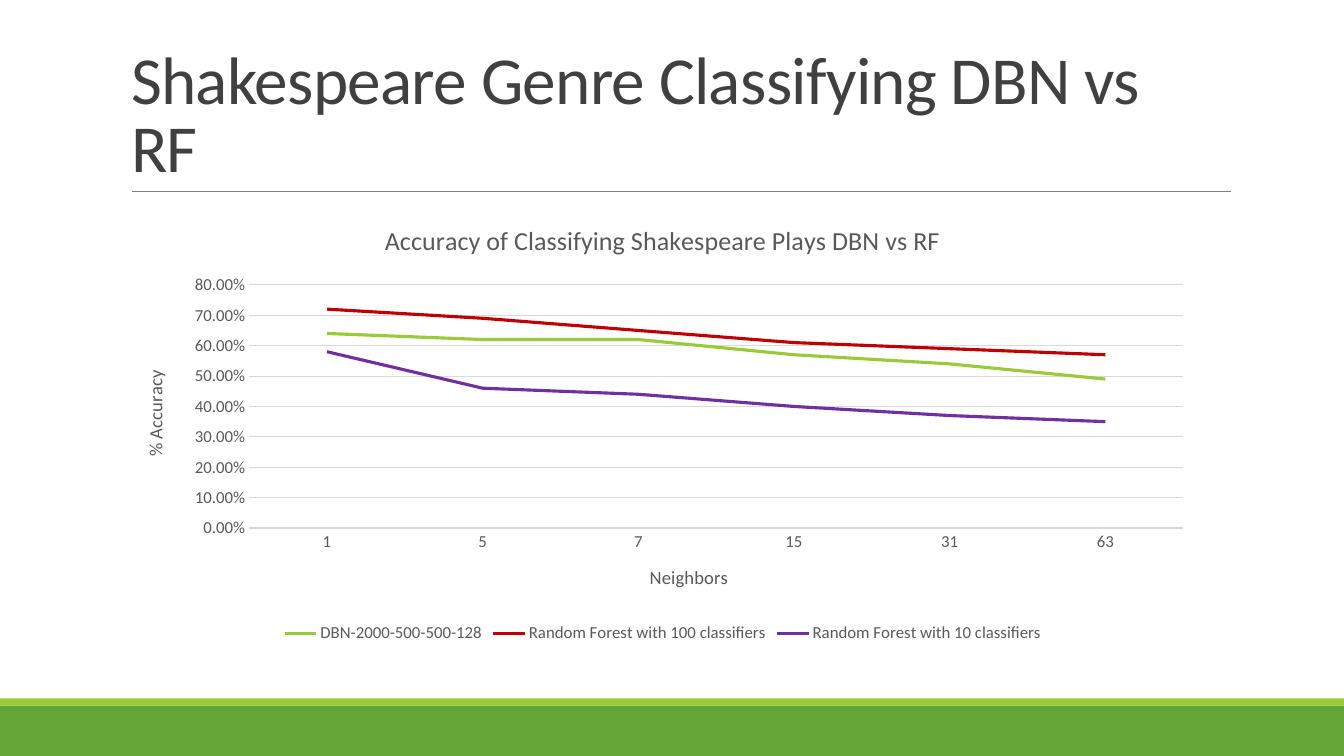
from typing import NamedTuple

import lxml.etree
import pptx
import pptx.chart.data
import pptx.dml.color
import pptx.enum.chart
import pptx.enum.shapes
import pptx.enum.text
import pptx.oxml.ns
import pptx.util
from pptx.util import Inches

FONT = "Calibri"
CHART_TEXT = "595959"
CHART_LINE = "D9D9D9"


class Band(NamedTuple):
    top: float
    height: float
    color: str


class Series(NamedTuple):
    name: str
    accuracies: tuple[float, ...]
    color: str


BANDS = [Band(7, 0.5, "63A537"), Band(6.93, 0.07, "99CB38")]
NEIGHBORS = ["1", "5", "7", "15", "31", "63"]
SERIES = [
    Series("DBN-2000-500-500-128",
           (0.64, 0.62, 0.62, 0.57, 0.54, 0.49), "99CB38"),
    Series("Random Forest with 100 classifiers",
           (0.72, 0.69, 0.65, 0.61, 0.59, 0.57), "C00000"),
    Series("Random Forest with 10 classifiers",
           (0.58, 0.46, 0.44, 0.40, 0.37, 0.35), "7030A0"),
]


def rgb(color: str) -> pptx.dml.color.RGBColor:
    return pptx.dml.color.RGBColor.from_string(color)


def set_font(font, size: float, color: str) -> None:
    font.name = FONT
    font.size = pptx.util.Pt(size)
    font.bold = False
    font.color.rgb = rgb(color)


def set_line(line, color: str, width: float) -> None:
    line.color.rgb = rgb(color)
    line.width = pptx.util.Pt(width)


def add_band(slide, band: Band, width: int) -> None:
    shape = slide.shapes.add_shape(
        pptx.enum.shapes.MSO_SHAPE.RECTANGLE,
        0, Inches(band.top), width, Inches(band.height))
    shape.shadow.inherit = False
    shape.fill.solid()
    shape.fill.fore_color.rgb = rgb(band.color)
    shape.line.fill.background()


def add_rule(slide) -> None:
    """Draw the thin line under the title."""
    connector = slide.shapes.add_connector(
        pptx.enum.shapes.MSO_CONNECTOR.STRAIGHT,
        Inches(1.31), Inches(1.9), Inches(12.21), Inches(1.9))
    set_line(connector.line, "808080", 0.5)
    lxml.etree.SubElement(
        connector.element.spPr, pptx.oxml.ns.qn("a:effectLst"))


def fill_title(title, text: str) -> None:
    title.left, title.top = Inches(1.2), Inches(0.31)
    title.width, title.height = Inches(11), Inches(1.59)
    frame = title.text_frame
    frame.text = text
    frame.word_wrap = True
    frame.auto_size = pptx.enum.text.MSO_AUTO_SIZE.NONE
    frame.vertical_anchor = pptx.enum.text.MSO_ANCHOR.BOTTOM
    paragraph = frame.paragraphs[0]
    paragraph.alignment = pptx.enum.text.PP_ALIGN.LEFT
    paragraph.line_spacing = 0.85
    font = paragraph.runs[0].font
    set_font(font, 48, "404040")
    paragraph.runs[0].font.language_id = pptx.enum.lang.MSO_LANGUAGE_ID.ENGLISH_US
    paragraph.runs[0]._r.get_or_add_rPr().set("spc", "-50")


def set_chart_title(owner, text: str, size: float) -> None:
    """Title a chart or one of its axes."""
    title = owner.chart_title if hasattr(owner, "chart_title") else owner.axis_title
    title.text_frame.text = text
    set_font(title.text_frame.paragraphs[0].runs[0].font, size, CHART_TEXT)


def format_axis(axis, title: str) -> None:
    axis.major_tick_mark = pptx.enum.chart.XL_TICK_MARK.NONE
    axis.minor_tick_mark = pptx.enum.chart.XL_TICK_MARK.NONE
    set_font(axis.tick_labels.font, 12, CHART_TEXT)
    set_chart_title(axis, title, 13.3)


def add_accuracy_chart(slide) -> None:
    data = pptx.chart.data.CategoryChartData(number_format="0.00%")
    data.categories = NEIGHBORS
    for series in SERIES:
        data.add_series(series.name, series.accuracies)
    chart = slide.shapes.add_chart(
        pptx.enum.chart.XL_CHART_TYPE.LINE,
        Inches(1.2), Inches(2.02), Inches(10.75), Inches(4.4), data).chart
    set_font(chart.font, 12, CHART_TEXT)
    set_chart_title(chart, "Accuracy of Classifying Shakespeare Plays DBN vs RF", 18.6)
    chart.chart_title.include_in_layout = False

    chart.has_legend = True
    chart.legend.position = pptx.enum.chart.XL_LEGEND_POSITION.BOTTOM
    chart.legend.include_in_layout = False
    set_font(chart.legend.font, 12, CHART_TEXT)

    format_axis(chart.category_axis, "Neighbors")
    set_line(chart.category_axis.format.line, CHART_LINE, 0.75)
    value_axis = chart.value_axis
    format_axis(value_axis, "% Accuracy")
    value_axis.minimum_scale, value_axis.maximum_scale = 0, 0.8
    value_axis.major_unit = 0.1
    value_axis.tick_labels.number_format = "0.00%"
    value_axis.tick_labels.number_format_is_linked = False
    value_axis.format.line.fill.background()
    value_axis.has_major_gridlines = True
    set_line(value_axis.major_gridlines.format.line, CHART_LINE, 0.75)

    plot = chart.plots[0]
    plot.vary_by_categories = False
    for line, series in zip(plot.series, SERIES):
        line.smooth = False
        line.marker.style = pptx.enum.chart.XL_MARKER_STYLE.NONE
        set_line(line.format.line, series.color, 2.25)


def main() -> None:
    presentation = pptx.Presentation()
    presentation.slide_width = Inches(13.33)
    presentation.slide_height = Inches(7.5)
    title_only = presentation.slide_layouts.get_by_name("Title Only")
    slide = presentation.slides.add_slide(title_only)
    for band in BANDS:
        add_band(slide, band, presentation.slide_width)
    add_rule(slide)
    fill_title(slide.shapes.title, "Shakespeare Genre Classifying DBN vs RF")
    add_accuracy_chart(slide)
    presentation.save("out.pptx")


if __name__ == "__main__":
    main()
